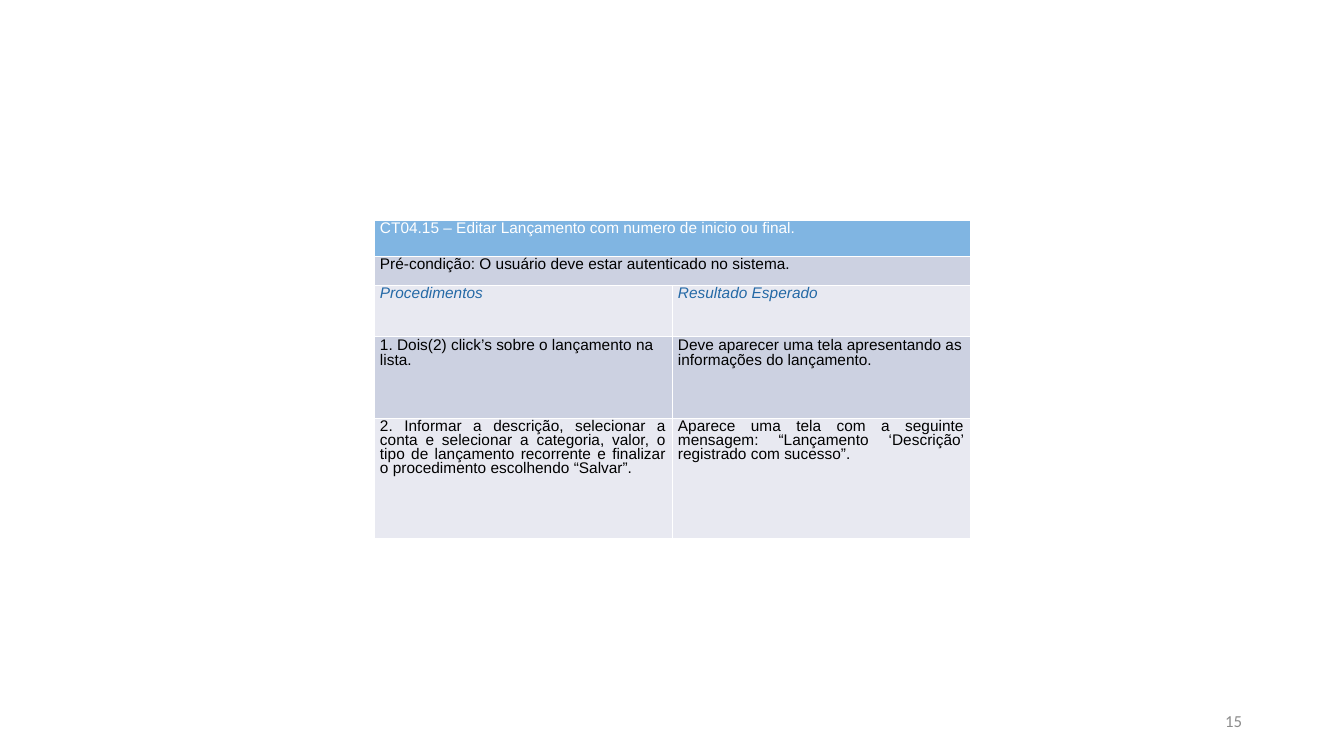
import dataclasses

import lxml.etree
import pptx
import pptx.dml.color
import pptx.enum.text
import pptx.oxml.ns
import pptx.util

ALIGN = pptx.enum.text.PP_ALIGN
ANCHOR = pptx.enum.text.MSO_ANCHOR


@dataclasses.dataclass(frozen=True)
class Theme:
    table_font: str = "Arial"
    number_font: str = "Calibri"
    table_size: int = 11
    number_size: int = 12
    border_width: float = 0.06
    white: str = "FFFFFF"
    black: str = "000000"
    gray: str = "8C8C8C"
    heading: str = "2469A6"
    title_fill: str = "80B5E2"
    dark_band: str = "CCD1E1"
    light_band: str = "E8E9F1"


@dataclasses.dataclass(frozen=True)
class Row:
    height: int
    texts: tuple
    fill: str
    color: str = Theme.black
    italic: bool = False
    align: ALIGN = ALIGN.LEFT
    line_spacing: float = 0.8


THEME = Theme()
TEST_CASE = (
    Row(36, ("CT04.15 – Editar Lançamento com numero de inicio ou final.",),
        THEME.title_fill, THEME.white),
    Row(29, ("Pré-condição: O usuário deve estar autenticado no sistema.",),
        THEME.dark_band),
    Row(51, ("Procedimentos", "Resultado Esperado"),
        THEME.light_band, THEME.heading, italic=True),
    Row(82, ("1. Dois(2) click’s sobre o lançamento na lista.",
             "Deve aparecer uma tela apresentando as informações do lançamento."),
        THEME.dark_band, line_spacing=0.86),
    Row(120, ("2. Informar a descrição, selecionar a conta e selecionar a categoria, "
              "valor, o tipo de lançamento recorrente e finalizar o procedimento "
              "escolhendo “Salvar”.",
              "Aparece uma tela com a seguinte mensagem: “Lançamento ‘Descrição’ "
              "registrado com sucesso”."),
        THEME.light_band, align=ALIGN.JUSTIFY),
)


def px(length):
    """Turn pixels, 100.8 to the inch, into EMU."""
    return pptx.util.Emu(round(length * 914400 / 100.8))


def rgb(value):
    return pptx.dml.color.RGBColor.from_string(value)


def add_text(paragraph, text, font, size, color, italic=False):
    run = paragraph.add_run()
    run.text = text
    run.font.name = font
    run.font.size = pptx.util.Pt(size)
    run.font.italic = italic
    run.font.bold = False
    run.font.color.rgb = rgb(color)


def set_borders(cell):
    """Draw a hairline on all four sides; call before the cell is filled."""
    properties = cell._tc.get_or_add_tcPr()
    width = str(pptx.util.Pt(THEME.border_width))
    for side in ("lnL", "lnR", "lnT", "lnB"):
        line = lxml.etree.SubElement(
            properties, pptx.oxml.ns.qn("a:" + side), w=width)
        fill = lxml.etree.SubElement(line, pptx.oxml.ns.qn("a:solidFill"))
        lxml.etree.SubElement(fill, pptx.oxml.ns.qn("a:srgbClr"), val=THEME.white)


def format_cell(cell, row):
    set_borders(cell)
    cell.fill.solid()
    cell.fill.fore_color.rgb = rgb(row.fill)
    cell.margin_left = cell.margin_right = px(6)
    cell.margin_top = cell.margin_bottom = px(3)
    cell.vertical_anchor = ANCHOR.TOP


def add_test_case(slide, left, top, width, rows):
    columns = max(len(row.texts) for row in rows)
    height = sum(row.height for row in rows)
    table = slide.shapes.add_table(
        len(rows), columns, px(left), px(top), px(width), px(height)).table
    table.first_row = table.horz_banding = False
    for column in table.columns:
        column.width = px(width / columns)
    for index, row in enumerate(rows):
        table.rows[index].height = px(row.height)
        for cell in table.rows[index].cells:
            format_cell(cell, row)
        if len(row.texts) == 1:
            table.cell(index, 0).merge(table.cell(index, columns - 1))
        for column, text in enumerate(row.texts):
            paragraph = table.cell(index, column).text_frame.paragraphs[0]
            paragraph.alignment = row.align
            paragraph.line_spacing = row.line_spacing
            add_text(paragraph, text, THEME.table_font, THEME.table_size,
                     row.color, row.italic)


def add_slide_number(slide, left, top, width, height, number):
    shape = slide.shapes.add_textbox(px(left), px(top), px(width), px(height))
    frame = shape.text_frame
    frame.word_wrap = True
    frame.vertical_anchor = ANCHOR.MIDDLE
    paragraph = frame.paragraphs[0]
    paragraph.alignment = ALIGN.RIGHT
    add_text(paragraph, number, THEME.number_font, THEME.number_size, THEME.gray)


def main():
    presentation = pptx.Presentation()
    presentation.slide_width = px(1344)
    presentation.slide_height = px(756)
    slide = presentation.slides.add_slide(presentation.slide_layouts[6])
    add_slide_number(slide, 950, 701, 302, 40, "15")
    add_test_case(slide, 374, 220, 596, TEST_CASE)
    presentation.save("out.pptx")


if __name__ == "__main__":
    main()
